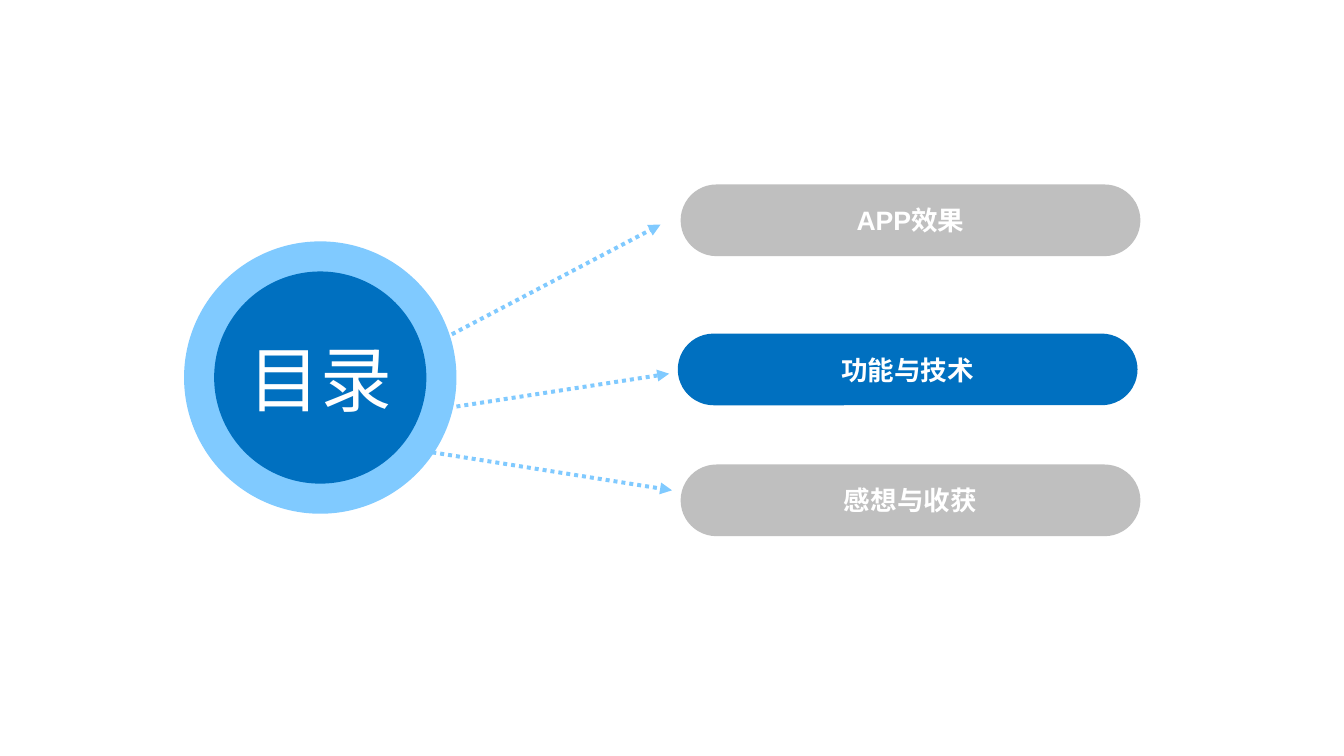
from dataclasses import dataclass

from lxml.etree import SubElement
from pptx import Presentation
from pptx.dml.color import RGBColor
from pptx.enum.dml import MSO_LINE
from pptx.enum.shapes import MSO_CONNECTOR, MSO_SHAPE
from pptx.enum.text import MSO_ANCHOR, PP_ALIGN
from pptx.oxml.ns import qn
from pptx.shapes.autoshape import Shape
from pptx.slide import Slide
from pptx.util import Inches, Pt


@dataclass(frozen=True)
class Theme:
    font: str = "Arial"
    blue: RGBColor = RGBColor(0x00, 0x70, 0xC0)
    light_blue: RGBColor = RGBColor(0x80, 0xCA, 0xFF)
    grey: RGBColor = RGBColor(0xBF, 0xBF, 0xBF)
    white: RGBColor = RGBColor(0xFF, 0xFF, 0xFF)
    title_size: int = 54
    topic_size: int = 20
    arrow_width: int = 3


@dataclass(frozen=True)
class Topic:
    """A pill with the arrow that leads to it."""
    text: str
    left: float
    top: float
    arrow_start: tuple[float, float]
    arrow_end: tuple[float, float]
    active: bool = False


THEME = Theme()
PILL_W, PILL_H = 4.81, 0.75
HUB_X, HUB_Y = 3.35, 3.95
RING_SIZE, DISC_SIZE = 2.85, 2.22

TOPICS = [
    Topic("APP效果", 7.12, 1.93, (4.21, 3.77), (6.91, 2.35)),
    Topic("功能与技术", 7.09, 3.49, (4.28, 4.33), (7, 3.91), active=True),
    Topic("感想与收获", 7.12, 4.86, (4.44, 4.72), (7.03, 5.13)),
]


def add_filled(s: Slide, kind: MSO_SHAPE, left: float, top: float,
               width: float, height: float, color: RGBColor) -> Shape:
    sp = s.shapes.add_shape(kind, Inches(left), Inches(top), Inches(width), Inches(height))
    sp.shadow.inherit = False
    sp.fill.solid()
    sp.fill.fore_color.rgb = color
    sp.line.fill.background()
    return sp


def set_label(sp: Shape, text: str, size: int, bold: bool = False, before: int = 0) -> None:
    tf = sp.text_frame
    tf.margin_left = tf.margin_right = tf.margin_top = tf.margin_bottom = 0
    tf.vertical_anchor = MSO_ANCHOR.MIDDLE
    p = tf.paragraphs[0]
    p.text = text
    p.alignment = PP_ALIGN.CENTER
    p.space_before = Pt(before)
    font = p.runs[0].font
    font.name, font.size, font.bold = THEME.font, Pt(size), bold
    font.color.rgb = THEME.white


def add_arrow(s: Slide, topic: Topic) -> None:
    x1, y1 = topic.arrow_start
    x2, y2 = topic.arrow_end
    arrow = s.shapes.add_connector(
        MSO_CONNECTOR.STRAIGHT, Inches(x1), Inches(y1), Inches(x2), Inches(y2))
    arrow.line.color.rgb = THEME.light_blue
    arrow.line.width = Pt(THEME.arrow_width)
    arrow.line.dash_style = MSO_LINE.ROUND_DOT
    SubElement(arrow.line._get_or_add_ln(), qn("a:tailEnd"), type="triangle")
    SubElement(arrow._element.spPr, qn("a:effectLst"))


def add_pill(s: Slide, topic: Topic) -> None:
    color = THEME.blue if topic.active else THEME.grey
    sp = add_filled(s, MSO_SHAPE.ROUNDED_RECTANGLE, topic.left, topic.top,
                    PILL_W, PILL_H, color)
    sp.adjustments[0] = 0.5
    set_label(sp, topic.text, THEME.topic_size, bold=True, before=4)


def add_circle(s: Slide, size: float, color: RGBColor) -> Shape:
    return add_filled(s, MSO_SHAPE.OVAL, HUB_X - size / 2, HUB_Y - size / 2,
                      size, size, color)


def main() -> None:
    prs = Presentation()
    prs.slide_width, prs.slide_height = Inches(14.06), Inches(7.91)
    s = prs.slides.add_slide(prs.slide_layouts[6])

    # Arrows lie behind the hub
    for topic in TOPICS:
        add_arrow(s, topic)

    # Topic pills
    for topic in TOPICS:
        add_pill(s, topic)

    # Hub: ring and titled disc
    add_circle(s, RING_SIZE, THEME.light_blue)
    disc = add_circle(s, DISC_SIZE, THEME.blue)
    set_label(disc, "目录", THEME.title_size)

    prs.save("out.pptx")


if __name__ == "__main__":
    main()
